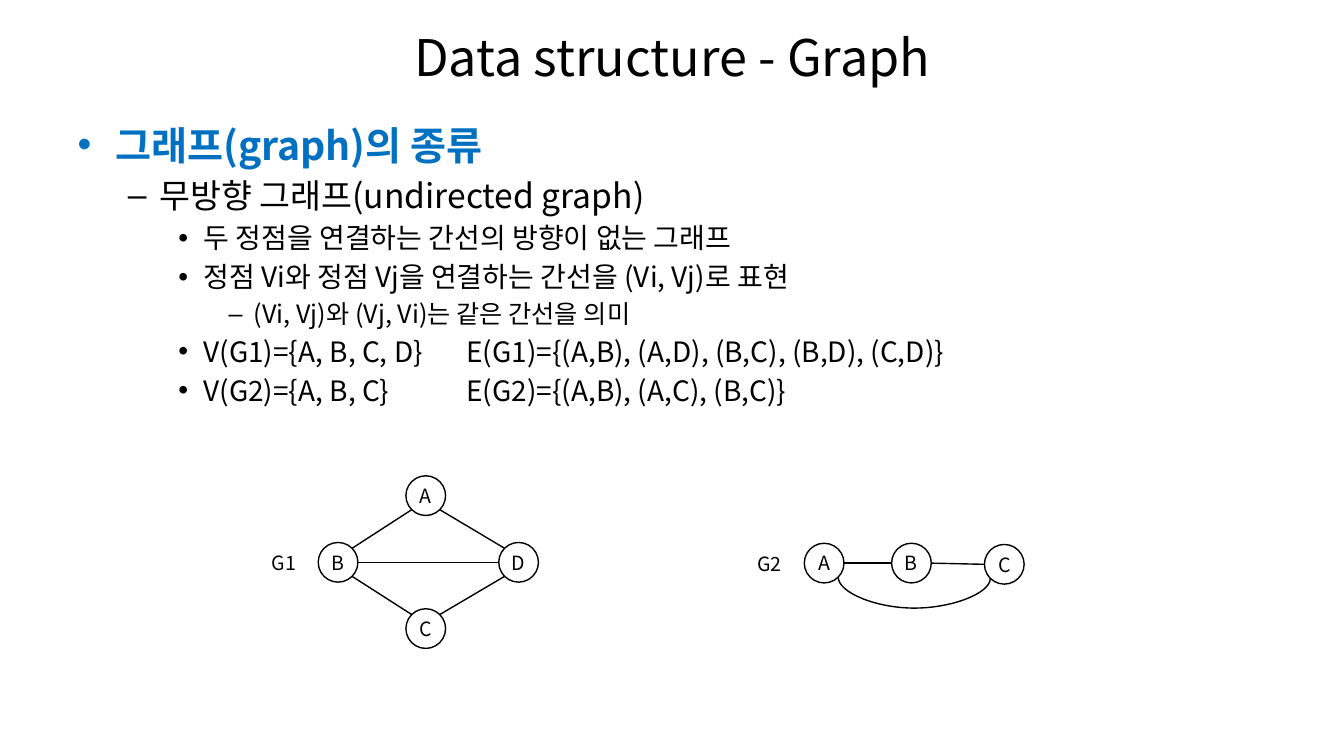
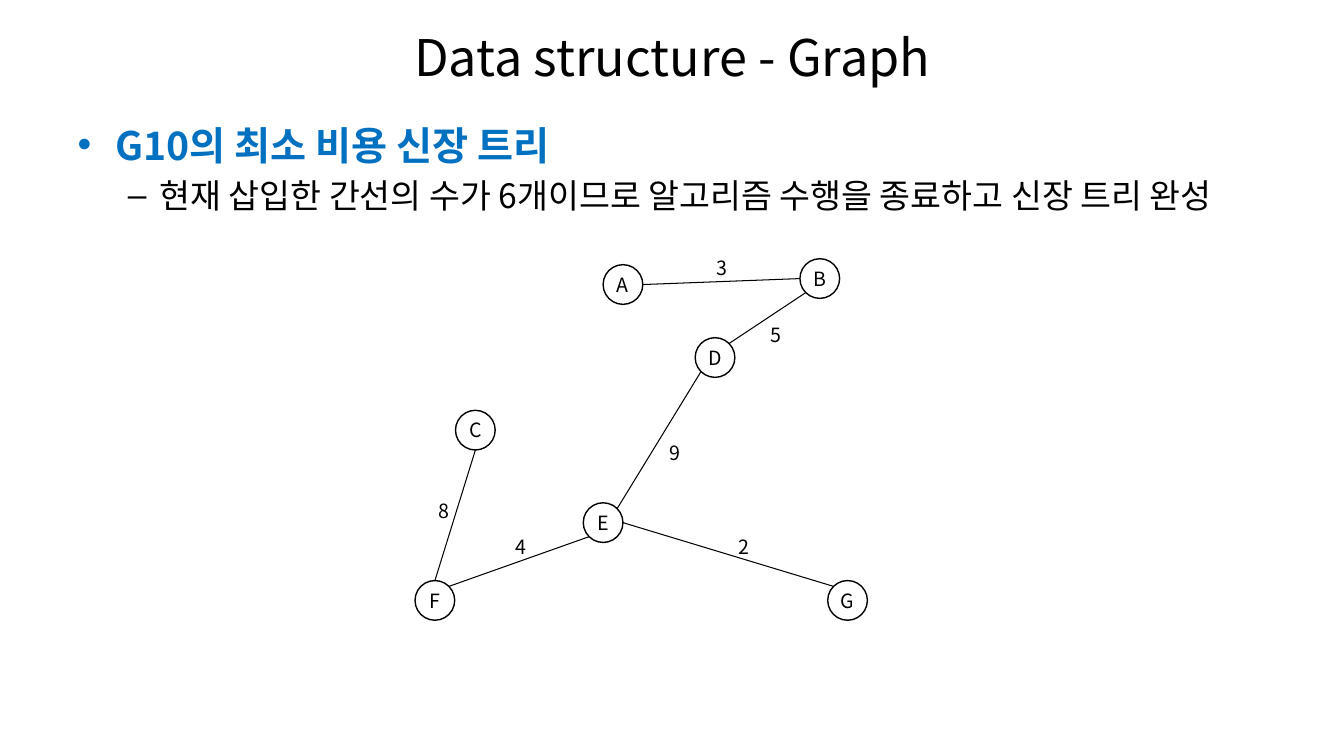
from dataclasses import dataclass
from enum import IntEnum
from math import cos, pi, sin

from lxml import etree
from pptx import Presentation
from pptx.dml.color import RGBColor
from pptx.enum import shapes as kinds, text as styles
from pptx.oxml import ns
from pptx.util import Cm, Pt

BLACK = RGBColor(0x00, 0x00, 0x00)
WHITE = RGBColor(0xFF, 0xFF, 0xFF)
BLUE = RGBColor(0x00, 0x70, 0xC0)
FONT = "Noto Sans CJK KR"

TITLE = "Data structure - Graph"
TITLE_SIZE = 36
LEVEL_SIZES = (28, 24, 20, 18)
LABEL_SIZE = 14
MARGIN = 1.7
NODE_SIZE = 1.0
LABEL_HEIGHT = 0.86
# Viewers measure a tab either from the indent or from the text edge;
# the two stops mark the same place for both.
TAB_STOPS = (6.63, 9.8)


class Site(IntEnum):
    """Connection sites of an ellipse, counter-clockwise from the top."""
    TOP = 0
    TOP_LEFT = 1
    LEFT = 2
    BOTTOM_LEFT = 3
    BOTTOM = 4
    BOTTOM_RIGHT = 5
    RIGHT = 6
    TOP_RIGHT = 7


@dataclass(frozen=True)
class Node:
    name: str
    left: float
    top: float

    def site(self, site: Site) -> tuple[float, float]:
        """Position of a connection site in centimetres."""
        angle = pi / 2 + site * pi / 4
        radius = NODE_SIZE / 2
        return (self.left + radius * (1 + cos(angle)),
                self.top + radius * (1 - sin(angle)))


@dataclass(frozen=True)
class Edge:
    start: str
    start_site: Site
    end: str
    end_site: Site
    sag: float = 0  # depth of a curved edge below its start


@dataclass(frozen=True)
class Label:
    text: str
    left: float
    top: float
    width: float = 1.32


@dataclass(frozen=True)
class Graph:
    nodes: tuple[Node, ...]
    edges: tuple[Edge, ...]
    labels: tuple[Label, ...]
    line_width: float


@dataclass(frozen=True)
class Page:
    lines: tuple[tuple[int, str], ...]  # outline level and text
    graphs: tuple[Graph, ...]
    body_width: float = 30.48


UNDIRECTED_G1 = Graph(
    nodes=(Node("A", 10.23, 11.99), Node("C", 10.23, 15.34),
           Node("B", 8.02, 13.67), Node("D", 12.57, 13.67)),
    edges=(Edge("B", Site.RIGHT, "D", Site.LEFT),
           Edge("A", Site.BOTTOM_LEFT, "B", Site.TOP_RIGHT),
           Edge("C", Site.TOP_LEFT, "B", Site.BOTTOM_RIGHT),
           Edge("D", Site.BOTTOM_LEFT, "C", Site.TOP_RIGHT),
           Edge("A", Site.BOTTOM_RIGHT, "D", Site.TOP_LEFT)),
    labels=(Label("G1", 6.38, 13.74, 1.55),),
    line_width=1,
)

UNDIRECTED_G2 = Graph(
    nodes=(Node("A", 20.27, 13.69), Node("C", 24.81, 13.72),
           Node("B", 22.47, 13.69)),
    edges=(Edge("B", Site.RIGHT, "C", Site.LEFT),
           Edge("A", Site.RIGHT, "B", Site.LEFT),
           Edge("A", Site.BOTTOM_RIGHT, "C", Site.BOTTOM_LEFT, sag=0.78)),
    labels=(Label("G2", 18.62, 13.77, 1.55),),
    line_width=1,
)

SPANNING_TREE = Graph(
    nodes=(Node("A", 15.2, 6.67), Node("E", 14.7, 12.67),
           Node("B", 20.16, 6.52), Node("C", 11.48, 10.34),
           Node("D", 17.52, 8.51), Node("G", 20.86, 14.63),
           Node("F", 10.46, 14.63)),
    edges=(Edge("E", Site.RIGHT, "G", Site.TOP_LEFT),
           Edge("A", Site.RIGHT, "B", Site.LEFT),
           Edge("E", Site.BOTTOM_LEFT, "F", Site.TOP_RIGHT),
           Edge("D", Site.TOP_RIGHT, "B", Site.BOTTOM_LEFT),
           Edge("C", Site.BOTTOM, "F", Site.TOP),
           Edge("E", Site.TOP_RIGHT, "D", Site.BOTTOM_LEFT)),
    labels=(Label("2", 18.08, 13.34), Label("3", 17.53, 6.32),
            Label("4", 12.47, 13.34), Label("5", 18.9, 8.0),
            Label("8", 10.54, 12.45), Label("9", 16.36, 10.97)),
    line_width=0.75,
)

PAGES = (
    Page(
        lines=(
            (0, "그래프(graph)의 종류"),
            (1, "무방향 그래프(undirected graph)"),
            (2, "두 정점을 연결하는 간선의 방향이 없는 그래프"),
            (2, "정점 Vi와 정점 Vj을 연결하는 간선을 (Vi, Vj)로 표현"),
            (3, "(Vi, Vj)와 (Vj, Vi)는 같은 간선을 의미"),
            (2, "V(G1)={A, B, C, D}\tE(G1)={(A,B), (A,D), (B,C), (B,D), (C,D)}"),
            (2, "V(G2)={A, B, C}\tE(G2)={(A,B), (A,C), (B,C)}"),
        ),
        graphs=(UNDIRECTED_G1, UNDIRECTED_G2),
    ),
    Page(
        lines=(
            (0, "G10의 최소 비용 신장 트리"),
            (1, "현재 삽입한 간선의 수가 6개이므로 알고리즘 수행을 종료하고 신장 트리 완성"),
        ),
        graphs=(SPANNING_TREE,),
        body_width=30.84,
    ),
)


def place(shape, left: float, top: float, width: float, height: float) -> None:
    shape.left, shape.top = Cm(left), Cm(top)
    shape.width, shape.height = Cm(width), Cm(height)


def format_runs(paragraph, size: float, color: RGBColor = BLACK,
                bold: bool = False) -> None:
    for run in paragraph.runs:
        font = run.font
        font.size, font.bold, font.name = Pt(size), bold, FONT
        font.color.rgb = color
        east_asian = etree.SubElement(run._r.get_or_add_rPr(), ns.qn("a:ea"))
        east_asian.set("typeface", FONT)


def add_tab_stops(paragraph) -> None:
    stops = etree.SubElement(paragraph._p.get_or_add_pPr(), ns.qn("a:tabLst"))
    for position in TAB_STOPS:
        etree.SubElement(stops, ns.qn("a:tab"), pos=str(Cm(position)), algn="l")


def write_centred(frame, content: str, size: float) -> None:
    frame.text = content
    frame.vertical_anchor = styles.MSO_ANCHOR.MIDDLE
    paragraph = frame.paragraphs[0]
    paragraph.alignment = styles.PP_ALIGN.CENTER
    format_runs(paragraph, size)


def write_outline(body, lines: tuple[tuple[int, str], ...]) -> None:
    frame = body.text_frame
    frame.auto_size = styles.MSO_AUTO_SIZE.NONE
    for index, (level, content) in enumerate(lines):
        paragraph = frame.add_paragraph() if index else frame.paragraphs[0]
        paragraph.text = content
        paragraph.level = level
        heading = level == 0
        format_runs(paragraph, LEVEL_SIZES[level],
                    BLUE if heading else BLACK, heading)
        if "\t" in content:
            add_tab_stops(paragraph)


def draw_node(slide, node: Node):
    circle = slide.shapes.add_shape(
        kinds.MSO_SHAPE.OVAL, Cm(node.left), Cm(node.top),
        Cm(NODE_SIZE), Cm(NODE_SIZE))
    circle.shadow.inherit = False
    circle.fill.solid()
    circle.fill.fore_color.rgb = WHITE
    circle.line.color.rgb = BLACK
    circle.line.width = Pt(1)
    frame = circle.text_frame
    frame.margin_left = frame.margin_right = 0
    frame.margin_top = frame.margin_bottom = 0
    frame.word_wrap = False
    write_centred(frame, node.name, LABEL_SIZE)
    return circle


def hang(connector, start: tuple[float, float], end: tuple[float, float],
         sag: float) -> None:
    """Turn a curved connector a quarter so that it hangs below its ends."""
    span, drop = end[0] - start[0], end[1] - start[1]
    middle_x, middle_y = (start[0] + end[0]) / 2, (start[1] + end[1]) / 2
    place(connector, middle_x - drop / 2, middle_y - span / 2, drop, span)
    properties = connector._element.spPr
    transform = properties.find(ns.qn("a:xfrm"))
    transform.set("rot", str(270 * 60000))
    transform.set("flipH", "1")
    guides = properties.find(ns.qn("a:prstGeom")).get_or_add_avLst()
    etree.SubElement(guides, ns.qn("a:gd"), name="adj1",
                     fmla=f"val {round(sag / drop * 100000)}")


def draw_edge(slide, edge: Edge, nodes: dict, circles: dict,
              line_width: float) -> None:
    start = nodes[edge.start].site(edge.start_site)
    end = nodes[edge.end].site(edge.end_site)
    kind = kinds.MSO_CONNECTOR.CURVE if edge.sag else kinds.MSO_CONNECTOR.STRAIGHT
    connector = slide.shapes.add_connector(
        kind, *(Cm(value) for value in start + end))
    if edge.sag:
        hang(connector, start, end, edge.sag)
    connector.line.color.rgb = BLACK
    connector.line.width = Pt(line_width)
    etree.SubElement(connector._element.spPr, ns.qn("a:effectLst"))
    # begin_connect knows only four sites, an ellipse has eight
    joints = connector._element.nvCxnSpPr.cNvCxnSpPr
    for tag, name, site in (("a:stCxn", edge.start, edge.start_site),
                            ("a:endCxn", edge.end, edge.end_site)):
        etree.SubElement(joints, ns.qn(tag), id=str(circles[name].shape_id),
                         idx=str(int(site)))


def draw_label(slide, label: Label) -> None:
    box = slide.shapes.add_textbox(Cm(label.left), Cm(label.top),
                                   Cm(label.width), Cm(LABEL_HEIGHT))
    box.text_frame.word_wrap = True
    box.text_frame.auto_size = styles.MSO_AUTO_SIZE.SHAPE_TO_FIT_TEXT
    write_centred(box.text_frame, label.text, LABEL_SIZE)


def draw_graph(slide, graph: Graph) -> None:
    nodes = {node.name: node for node in graph.nodes}
    circles = {node.name: draw_node(slide, node) for node in graph.nodes}
    for edge in graph.edges:
        draw_edge(slide, edge, nodes, circles, graph.line_width)
    for label in graph.labels:
        draw_label(slide, label)


def add_page(deck, page: Page) -> None:
    slide = deck.slides.add_slide(deck.slide_layouts[1])
    title, body = slide.placeholders
    place(title, MARGIN, 0.33, 30.48, 2.16)
    write_centred(title.text_frame, TITLE, TITLE_SIZE)
    place(body, MARGIN, 2.92, page.body_width, 14.4)
    write_outline(body, page.lines)
    for graph in page.graphs:
        draw_graph(slide, graph)


def main() -> None:
    deck = Presentation()
    deck.slide_width, deck.slide_height = Cm(33.87), Cm(19.05)
    for page in PAGES:
        add_page(deck, page)
    deck.save("out.pptx")


if __name__ == "__main__":
    main()
